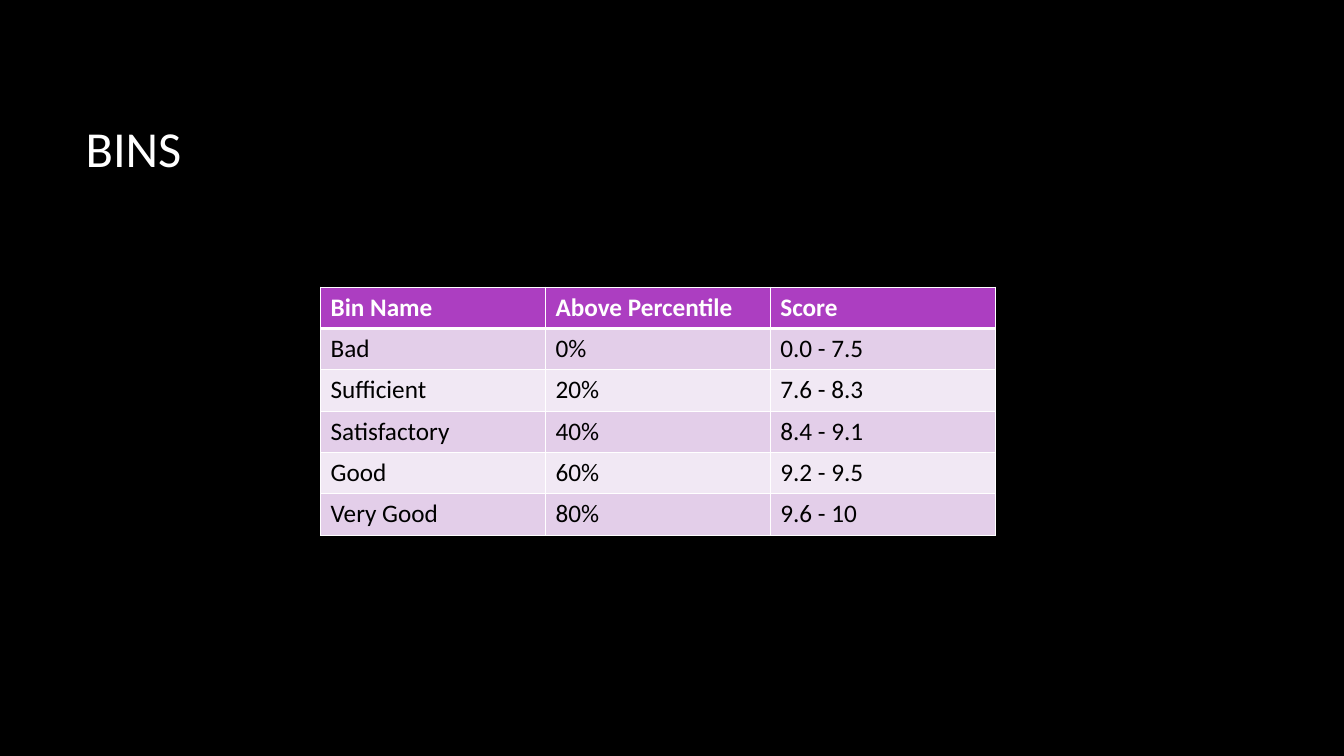
from dataclasses import dataclass

from lxml.etree import SubElement
from pptx import Presentation
from pptx.dml.color import RGBColor
from pptx.enum.text import MSO_ANCHOR, PP_ALIGN
from pptx.oxml.ns import qn
from pptx.util import Inches, Pt

# Content
TITLE = "BINS"
BINS = [
    ("Bin Name", "Above Percentile", "Score"),
    ("Bad", "0%", "0.0 - 7.5"),
    ("Sufficient", "20%", "7.6 - 8.3"),
    ("Satisfactory", "40%", "8.4 - 9.1"),
    ("Good", "60%", "9.2 - 9.5"),
    ("Very Good", "80%", "9.6 - 10"),
]


@dataclass(frozen=True)
class Theme:
    font: str = "Calibri"
    back: str = "000000"
    light: str = "FFFFFF"
    dark: str = "000000"
    head: str = "AC3EC1"
    bands: tuple = ("F1E8F4", "E3CEE9")
    title: int = 36
    body: int = 18
    thin: int = 1
    thick: int = 3


THEME = Theme()

# Grid, in inches
WIDE, HIGH = 13.33, 7.5
TITLE_BOX = (0.75, 0.67, 11.08, 1.59)
LEFT, TOP = 3.18, 2.85
COL, ROW = 2.23, 0.41


def style(frame, size, color, bold=False):
    for run in frame.paragraphs[0].runs:
        font = run.font
        font.name, font.size, font.bold = THEME.font, Pt(size), bold
        font.color.rgb = RGBColor.from_string(color)


def border(cell, sides):
    props = cell._tc.get_or_add_tcPr()
    for side, width in sides.items():
        line = SubElement(props, qn(f"a:ln{side}"), w=str(Pt(width)))
        fill = SubElement(line, qn("a:solidFill"))
        SubElement(fill, qn("a:srgbClr"), val=THEME.light)


def add_title(slide):
    title = slide.shapes.title
    title.left, title.top, title.width, title.height = map(Inches, TITLE_BOX)
    frame = title.text_frame
    frame.text = TITLE
    frame.vertical_anchor = MSO_ANCHOR.MIDDLE
    frame.paragraphs[0].alignment = PP_ALIGN.LEFT
    style(frame, THEME.title, THEME.light)


def add_bins(slide):
    rows, cols = len(BINS), len(BINS[0])
    box = map(Inches, (LEFT, TOP, cols * COL, rows * ROW))
    table = slide.shapes.add_table(rows, cols, *box).table
    for col in table.columns:
        col.width = Inches(COL)
    for r, words in enumerate(BINS):
        table.rows[r].height = Inches(ROW)
        head = r == 0
        # The header is closed off by a thick rule
        sides = dict.fromkeys("LRTB", THEME.thin)
        if r < 2:
            sides["B" if head else "T"] = THEME.thick
        shade = THEME.head if head else THEME.bands[r % 2]
        ink = THEME.light if head else THEME.dark
        for c, word in enumerate(words):
            cell = table.cell(r, c)
            cell.text_frame.text = word
            style(cell.text_frame, THEME.body, ink, head)
            border(cell, sides)
            cell.fill.solid()
            cell.fill.fore_color.rgb = RGBColor.from_string(shade)


def main():
    deck = Presentation()
    deck.slide_width, deck.slide_height = Inches(WIDE), Inches(HIGH)
    slide = deck.slides.add_slide(deck.slide_layouts[5])
    back = slide.background.fill
    back.solid()
    back.fore_color.rgb = RGBColor.from_string(THEME.back)
    add_title(slide)
    add_bins(slide)
    deck.save("out.pptx")


if __name__ == "__main__":
    main()
